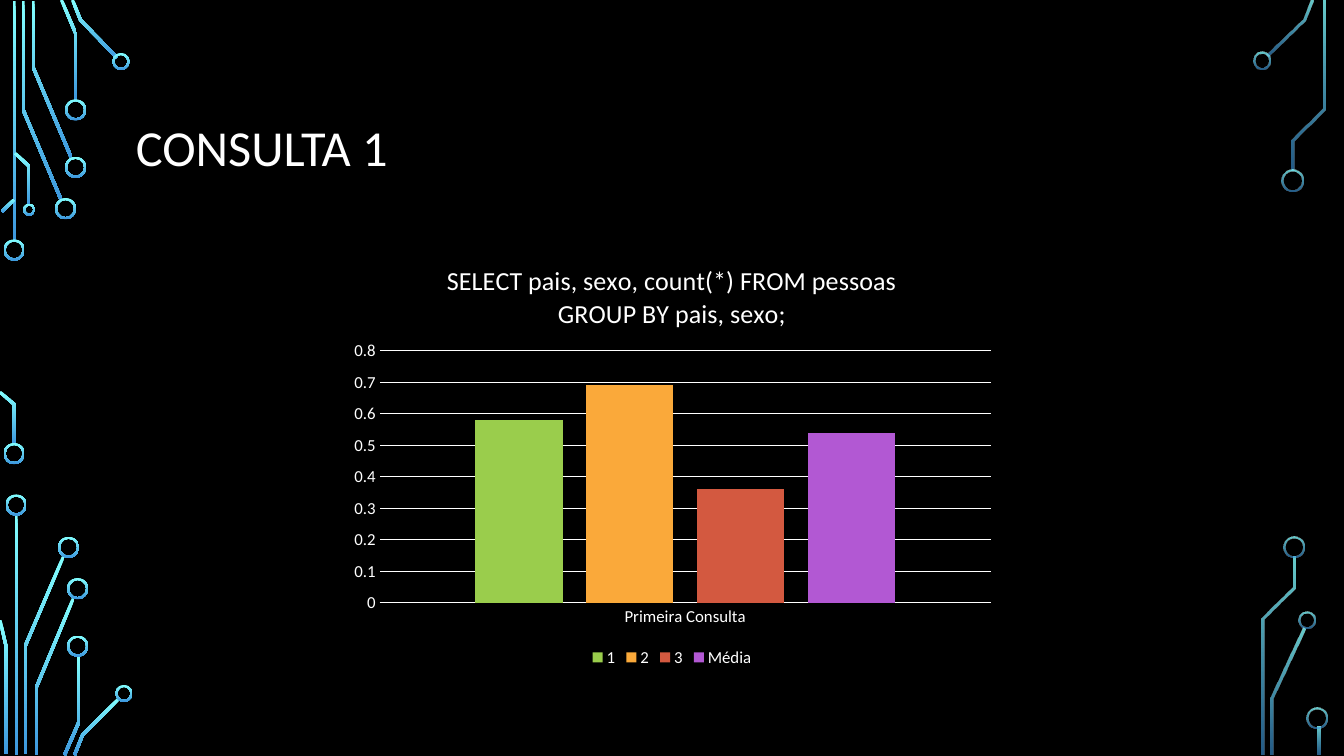
import math

import lxml.etree
import pptx
import pptx.chart.data
import pptx.dml.color
import pptx.enum.chart
import pptx.enum.shapes
import pptx.enum.text
import pptx.oxml.ns
import pptx.util


class Theme:
    font = "Calibri"
    back, text = "000000", "FFFFFF"
    glow = ("82FFFF", "3D97DE")
    dim = (80, 60)  # opacity of the two glow stops, percent
    bars = ("9ACD4C", "FAA93A", "D35940", "B258D3")
    head, query, label = 36, 18.6, 12
    wire, rim = 0.03, 0.02


def size(inch):
    return pptx.util.Cm(inch * 2.54)


def tint(code):
    return pptx.dml.color.RGBColor.from_string(code)


def widen(path, width):
    """Outline of a bent wire with mitred corners."""
    angles = [math.atan2(y2 - y1, x2 - x1)
              for (x1, y1), (x2, y2) in zip(path, path[1:])]
    near, far = [], []
    for (x, y), a, b in zip(path, angles[:1] + angles, angles + angles[-1:]):
        mid = (a + b) / 2
        half = width / 2 / math.cos((b - a) / 2)
        dx, dy = -math.sin(mid) * half, math.cos(mid) * half
        near.append((size(x + dx), size(y + dy)))
        far.append((size(x - dx), size(y - dy)))
    return near + far[::-1]


class Deck:
    def __init__(self, theme):
        self.theme = theme
        self.show = pptx.Presentation()
        self.show.slide_width, self.show.slide_height = size(13.33), size(7.5)
        self.slide = self.show.slides.add_slide(self.show.slide_layouts[6])
        fill = self.slide.background.fill
        fill.solid()
        fill.fore_color.rgb = tint(theme.back)

    def style(self, font, points):
        font.name, font.size = self.theme.font, pptx.util.Pt(points)
        font.bold = False
        font.color.rgb = tint(self.theme.text)

    def glow(self, shape, faded):
        shape.shadow.inherit = False
        shape.line.fill.background()
        shape.fill.gradient()
        shape.fill.gradient_angle = 270
        for stop, code in zip(shape.fill.gradient_stops, self.theme.glow):
            stop.color.rgb = tint(code)
        if faded:
            name = pptx.oxml.ns.qn("a:srgbClr")
            for node, part in zip(shape.element.iter(name), self.theme.dim):
                alpha = lxml.etree.SubElement(node, pptx.oxml.ns.qn("a:alpha"))
                alpha.set("val", str(part * 1000))

    def wire(self, path, faded):
        first, *rest = widen(path, self.theme.wire)
        pen = self.slide.shapes.build_freeform(*first)
        pen.add_line_segments(rest, close=True)
        self.glow(pen.convert_to_shape(), faded)

    def ring(self, x, y, width, faded):
        box = [size(v) for v in (x - width / 2, y - width / 2, width, width)]
        kind = pptx.enum.shapes.MSO_SHAPE.DONUT
        shape = self.slide.shapes.add_shape(kind, *box)
        shape.adjustments[0] = self.theme.rim / width
        self.glow(shape, faded)

    def title(self, text, box):
        frame = self.slide.shapes.add_textbox(*map(size, box)).text_frame
        frame.word_wrap = True
        frame.vertical_anchor = pptx.enum.text.MSO_ANCHOR.MIDDLE
        para = frame.paragraphs[0]
        para.line_spacing = 0.9
        run = para.add_run()
        run.text = text
        self.style(run.font, self.theme.head)

    def chart(self, query, group, values, box):
        data = pptx.chart.data.CategoryChartData()
        data.categories = [group]
        for name, value in values.items():
            data.add_series(name, [value])
        kind = pptx.enum.chart.XL_CHART_TYPE.COLUMN_CLUSTERED
        chart = self.slide.shapes.add_chart(kind, *map(size, box), data).chart
        self.style(chart.font, self.theme.label)

        # Query as heading
        chart.has_title = True
        run = chart.chart_title.text_frame.paragraphs[0].add_run()
        run.text = query
        self.style(run.font, self.theme.query)
        chart.chart_title.include_in_layout = False

        # Bars
        plot = chart.plots[0]
        plot.gap_width, plot.overlap, plot.vary_by_categories = 219, -27, False
        for bar, code in zip(plot.series, self.theme.bars):
            bar.format.fill.solid()
            bar.format.fill.fore_color.rgb = tint(code)

        # Axes and grid
        scale = chart.value_axis
        scale.minimum_scale, scale.maximum_scale, scale.major_unit = 0, 0.8, 0.1
        scale.tick_labels.number_format = "General"
        scale.tick_labels.number_format_is_linked = False
        for axis in (chart.category_axis, scale):
            axis.major_tick_mark = pptx.enum.chart.XL_TICK_MARK.NONE
            axis.minor_tick_mark = pptx.enum.chart.XL_TICK_MARK.NONE
            self.style(axis.tick_labels.font, self.theme.label)
        for line in (chart.category_axis.format.line,
                     scale.major_gridlines.format.line):
            line.color.rgb = tint(self.theme.text)
            line.width = pptx.util.Pt(0.75)
        scale.format.line.fill.background()

        # Legend
        chart.has_legend = True
        chart.legend.position = pptx.enum.chart.XL_LEGEND_POSITION.BOTTOM
        chart.legend.include_in_layout = False
        self.style(chart.legend.font, self.theme.label)

        # Plot area, as shares of the chart
        area = chart.element.find(".//" + pptx.oxml.ns.qn("c:plotArea"))
        for old in area.findall(pptx.oxml.ns.qn("c:layout")):
            area.remove(old)
        layout = lxml.etree.Element(pptx.oxml.ns.qn("c:layout"))
        area.insert(0, layout)
        place = lxml.etree.SubElement(layout, pptx.oxml.ns.qn("c:manualLayout"))
        for tag, val in (("layoutTarget", "inner"), ("xMode", "edge"),
                         ("yMode", "edge"), ("x", 0.06), ("y", 0.25),
                         ("w", 0.92), ("h", 0.59)):
            node = lxml.etree.SubElement(place, pptx.oxml.ns.qn("c:" + tag))
            node.set("val", str(val))


# Circuit traces, in inches
LEFT = [
    [(0.14, 0.01), (0.14, 2.4)],
    [(0.23, 0.01), (0.23, 1.09), (0.61, 1.99)],
    [(0.33, 0.01), (0.33, 0.67), (0.71, 1.57)],
    [(0.61, 0), (0.75, 0.33), (0.75, 1)],
    [(0.72, 0), (0.8, 0.2), (1.16, 0.57)],
    [(0.02, 2.1), (0.14, 1.98)],
    [(0, 3.89), (0.14, 4.01), (0.14, 4.41)],
    [(0.15, 1.52), (0.29, 1.65), (0.29, 2.03)],
    [(0.16, 5.1), (0.16, 7.49)],
    [(0.25, 7.48), (0.25, 6.41), (0.63, 5.52)],
    [(0, 6.15), (0.06, 6.41), (0.06, 7.48)],
    [(0.36, 7.49), (0.36, 6.82), (0.73, 5.93)],
    [(0.64, 7.49), (0.78, 7.17), (0.78, 6.5)],
    [(0.74, 7.49), (0.82, 7.29), (1.18, 6.93)],
]
RIGHT = [
    [(13.01, 0), (12.93, 0.2), (12.57, 0.55)],
    [(12.62, 7.49), (12.62, 6.93), (12.93, 6.23)],
    [(13.13, 0.01), (13.13, 1.08), (12.82, 1.39), (12.82, 1.69)],
    [(12.53, 7.49), (12.53, 6.14), (12.83, 5.83), (12.83, 5.52)],
    [(13.08, 7.21), (13.08, 7.49)],
]

# Ring centres by width
LEFT_RINGS = {
    0.21: [(0.14, 2.48), (0.14, 4.5), (0.65, 2.07), (0.75, 1.66), (0.75, 1.09),
           (0.16, 5.01), (0.68, 5.43), (0.77, 5.84), (0.77, 6.41)],
    0.17: [(1.2, 0.61), (1.23, 6.88)],
    0.12: [(0.29, 2.08)],
}
RIGHT_RINGS = {
    0.21: [(12.82, 1.79), (12.83, 5.43), (13.06, 7.12)],
    0.17: [(12.52, 0.6), (12.96, 6.15)],
}


def main():
    deck = Deck(Theme())
    for wires, rings, faded in ((LEFT, LEFT_RINGS, False),
                                (RIGHT, RIGHT_RINGS, True)):
        for path in wires:
            deck.wire(path, faded)
        for width, spots in rings.items():
            for x, y in spots:
                deck.ring(x, y, width, faded)
    deck.title("CONSULTA 1", (1.25, 0.68, 10.83, 1.62))
    deck.chart("SELECT pais, sexo, count(*) FROM pessoas GROUP BY pais, sexo;",
               "Primeira Consulta",
               {"1": 0.58, "2": 0.69, "3": 0.36, "Média": 0.54},
               (3.37, 2.42, 6.59, 4.24))
    deck.show.save("out.pptx")


if __name__ == "__main__":
    main()
